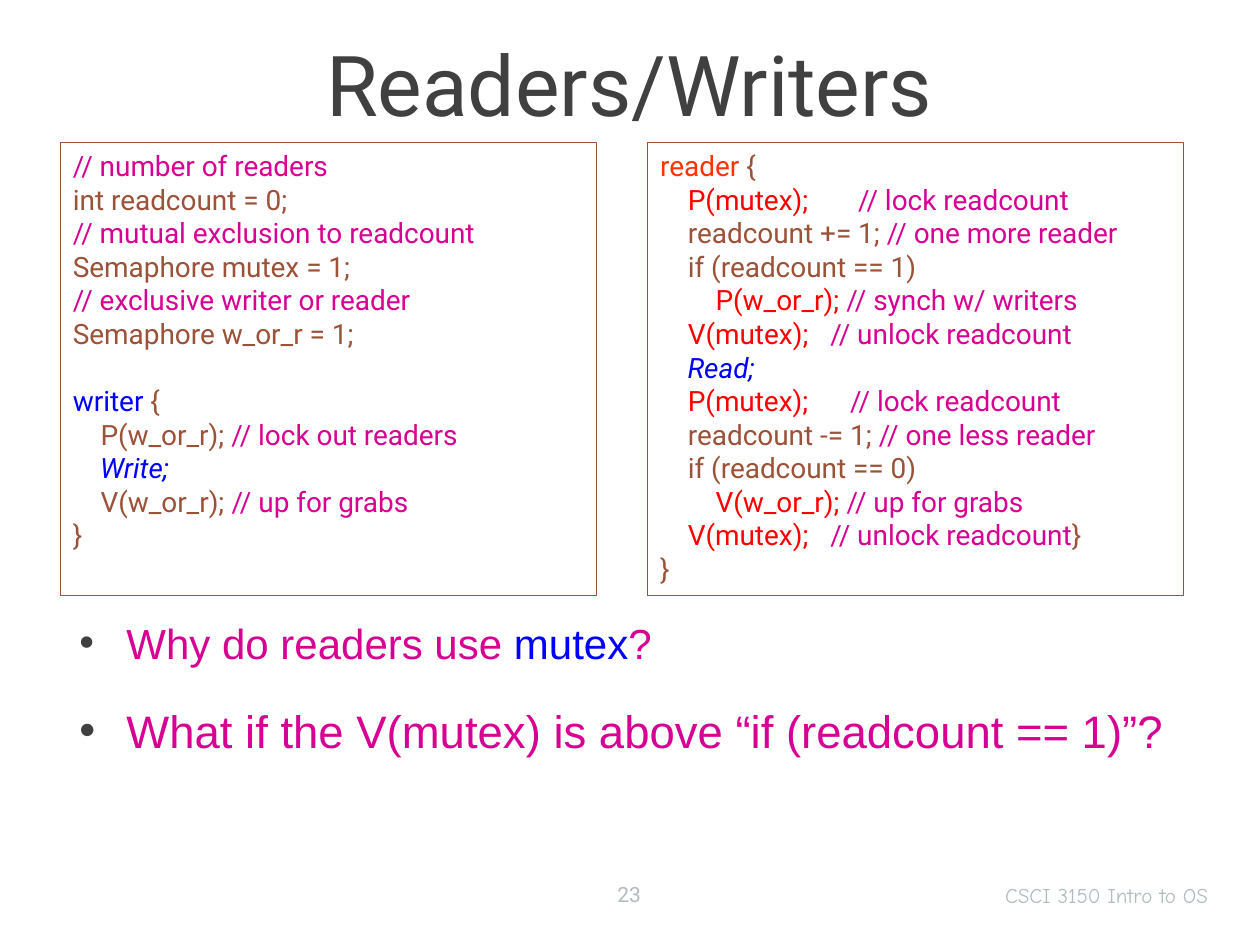
from lxml.etree import SubElement
from pptx import Presentation
from pptx.dml.color import RGBColor
from pptx.enum.shapes import MSO_SHAPE as Shape
from pptx.enum.text import MSO_ANCHOR as Anchor, PP_ALIGN as Align
from pptx.oxml.ns import qn
from pptx.util import Cm, Pt

BROWN = RGBColor(0x9C, 0x52, 0x38)
MAGENTA = RGBColor(0xD6, 0x00, 0x93)
BLUE = RGBColor(0x00, 0x00, 0xFF)
RED = RGBColor(0xFF, 0x00, 0x00)
ORANGE = RGBColor(0xFF, 0x33, 0x00)
DARK = RGBColor(0x40, 0x40, 0x40)
GREY = RGBColor(0xB0, 0xBC, 0xC1)


def add_run(paragraph, text, color, **formats):
    run = paragraph.add_run()
    run.text = text
    run.font.color.rgb = color
    for key, value in formats.items():
        setattr(run.font, key, value)


def add_label(slide, place, text, align, color, **formats):
    frame = slide.shapes.add_textbox(*map(Cm, place)).text_frame
    frame.word_wrap = True
    frame.vertical_anchor = Anchor.MIDDLE
    frame.paragraphs[0].alignment = align
    add_run(frame.paragraphs[0], text, color, **formats)


prs = Presentation()
prs.slide_width, prs.slide_height = Cm(25.4), Cm(19.05)
slide = prs.slides.add_slide(prs.slide_layouts[6])

add_label(slide, (16.56, 17.7, 8.05, 0.71), "CSCI 3150 Intro to OS", Align.RIGHT, GREY,
          name="Comic Neue", size=Pt(12))
add_label(slide, (11.63, 17.65, 2.11, 0.76), "23", Align.CENTER, GREY,
          name="Roboto", size=Pt(12))
add_label(slide, (2.49, 0.28, 20.4, 2.77), "Readers/Writers", Align.CENTER, DARK,
          name="Roboto", size=Pt(48))

writer_code = [
    [("// number of readers", MAGENTA)],
    [("int readcount = 0;", BROWN)],
    [("// mutual exclusion to readcount", MAGENTA)],
    [("Semaphore mutex = 1;", BROWN)],
    [("// exclusive writer or reader", MAGENTA)],
    [("Semaphore w_or_r = 1;", BROWN)],
    [("writer", BLUE), (" {", BROWN)],
    [("    P(w_or_r); ", BROWN), ("// lock out readers", MAGENTA)],
    [("    Write;", BLUE)],
    [("    V(w_or_r); ", BROWN), ("// up for grabs", MAGENTA)],
    [("}", BROWN)],
]
reader_code = [
    [("reader", ORANGE), (" {", BROWN)],
    [("    P(mutex);\t", RED), ("// lock readcount", MAGENTA)],
    [("    readcount += 1; ", BROWN), ("// one more reader", MAGENTA)],
    [("    if (readcount == 1)", BROWN)],
    [("        P(w_or_r); ", RED), ("// synch w/ writers", MAGENTA)],
    [("    V(mutex);\t", RED), ("// unlock readcount", MAGENTA)],
    [("    Read;", BLUE)],
    [("    P(mutex);\t", RED), ("// lock readcount", MAGENTA)],
    [("    readcount -= 1; ", BROWN), ("// one less reader", MAGENTA)],
    [("    if (readcount == 0)", BROWN)],
    [("        V(w_or_r); ", RED), ("// up for grabs", MAGENTA)],
    [("    V(mutex);\t", RED), ("// unlock readcount", MAGENTA), ("}", BROWN)],
    [("}", BROWN)],
]
reader_tabs = {1: 3.99, 5: 3.43, 7: 3.83, 11: 3.43}

for left, code, tabs, gaps in ((1.22, writer_code, {}, {6: Pt(19.2)}),
                               (13.06, reader_code, reader_tabs, {})):
    panel = slide.shapes.add_shape(Shape.RECTANGLE, Cm(left), Cm(2.87), Cm(10.8), Cm(9.14))
    panel.shadow.inherit = False
    panel.fill.background()
    panel.line.color.rgb = BROWN
    panel.line.width = Pt(0.75)
    frame = panel.text_frame
    frame.word_wrap = True
    frame.vertical_anchor = Anchor.TOP
    for number, runs in enumerate(code):
        line = frame.add_paragraph() if number else frame.paragraphs[0]
        line.alignment = Align.LEFT
        if number in gaps:
            line.space_before = gaps[number]
        if number in tabs:
            stops = SubElement(line._p.get_or_add_pPr(), qn("a:tabLst"))
            SubElement(stops, qn("a:tab"), pos=str(Cm(tabs[number])), algn="l")
        for text, color in runs:
            action = text.strip() in ("Read;", "Write;")
            add_run(line, text, color, name="Roboto", size=Pt(16), italic=action)

questions = [
    (24, [("Why do readers use ", MAGENTA), ("mutex", BLUE), ("?", MAGENTA)]),
    (26, [("What if the V(mutex) is above “if (readcount == 1)”?", MAGENTA)]),
]
frame = slide.shapes.add_textbox(Cm(1.35), Cm(12.32), Cm(22.48), Cm(5.08)).text_frame
frame.word_wrap = True
for number, (size, runs) in enumerate(questions):
    question = frame.add_paragraph() if number else frame.paragraphs[0]
    if number:
        question.space_before = Pt(20)
    properties = question._p.get_or_add_pPr()
    properties.set("marL", str(Cm(0.95)))
    properties.set("indent", str(Cm(-0.95)))
    bullet_color = SubElement(properties, qn("a:buClr"))
    SubElement(bullet_color, qn("a:srgbClr"), val=str(DARK))
    SubElement(properties, qn("a:buFont"), typeface="Arial")
    SubElement(properties, qn("a:buChar"), char="•")
    for text, color in runs:
        add_run(question, text, color, name="Arial", size=Pt(size))

prs.save("out.pptx")
